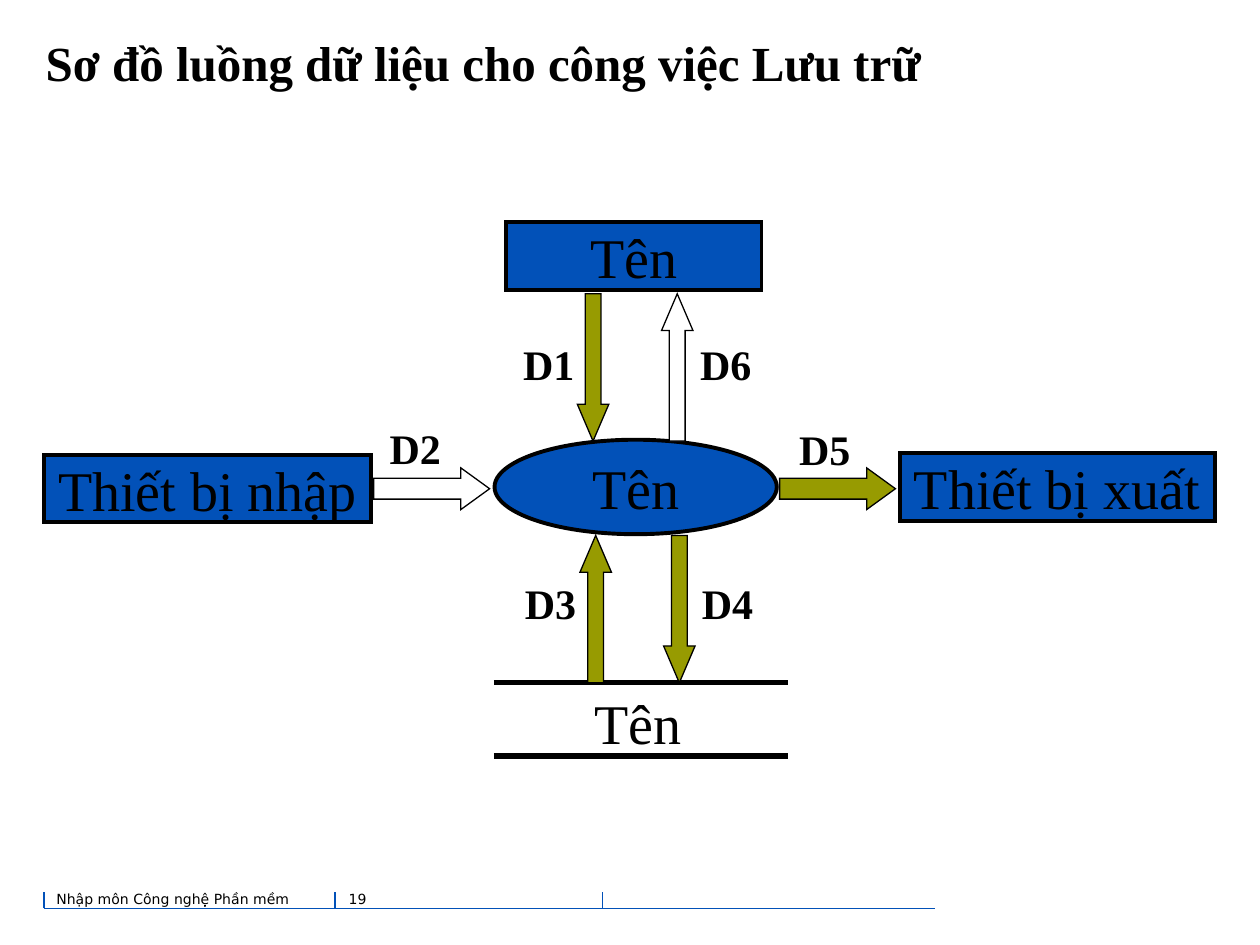
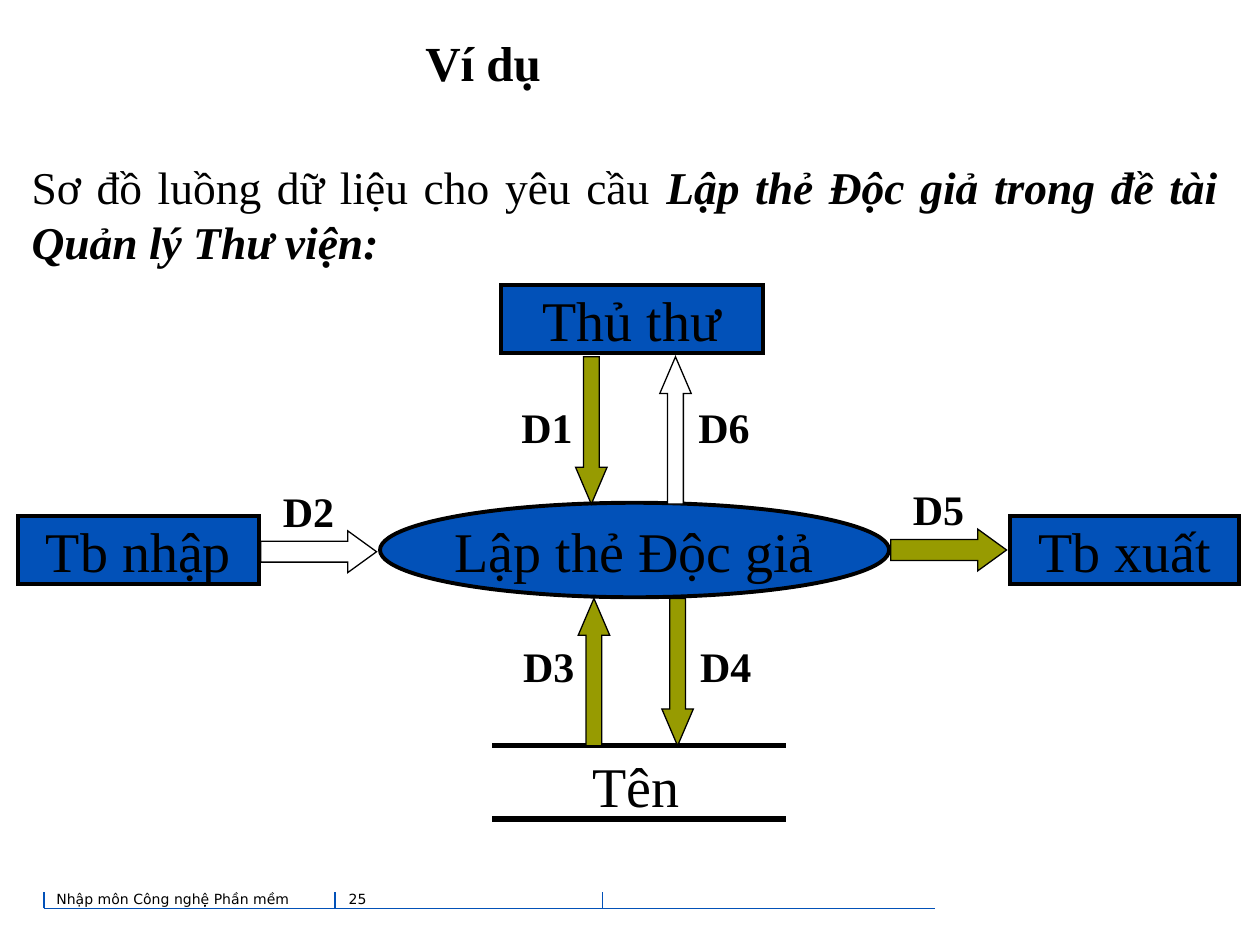
from lxml import etree
from pptx import Presentation
from pptx.dml.color import RGBColor
from pptx.enum.shapes import MSO_CONNECTOR, MSO_SHAPE as Shape
from pptx.enum.text import MSO_ANCHOR as Anchor, PP_ALIGN as Align
from pptx.oxml.ns import qn
from pptx.util import Pt

BLUE = RGBColor(0x02, 0x51, 0xB8)
OLIVE = RGBColor(0x97, 0x9B, 0x01)
WHITE = RGBColor(0xFF, 0xFF, 0xFF)
BLACK = RGBColor(0, 0, 0)
SERIF = "Times New Roman"
SANS = "DejaVu Sans"

BOX_HEIGHT = 38.6
PROCESS_HEIGHT = 54
FLOW_LENGTH, FLOW_WIDTH = 84.2, 18
SIDE_LENGTH, SIDE_WIDTH = 66.2, 23.8
LABEL_WIDTH, LABEL_HEIGHT = 37.5, 28.8
STORE_LEFT, STORE_RIGHT = 282.2, 450
STORE_TOP, STORE_BOTTOM = 390.2, 432


def write(frame, text, size, font=SERIF, bold=False, align=Align.CENTER,
          anchor=Anchor.TOP, margin=0, wrap=False):
    frame.word_wrap = wrap
    frame.vertical_anchor = anchor
    frame.margin_left = frame.margin_right = Pt(margin)
    frame.margin_top = frame.margin_bottom = Pt(margin)
    paragraph = frame.paragraphs[0]
    paragraph.text = text
    paragraph.alignment = align
    paragraph.font.name = font
    paragraph.font.size = Pt(size)
    paragraph.font.bold = bold
    paragraph.font.color.rgb = BLACK
    return paragraph


def add_text(slide, place, text, size, **style):
    box = slide.shapes.add_textbox(*map(Pt, place))
    return write(box.text_frame, text, size, **style)


def add_outlined(slide, kind, place, fill, line_width):
    """Filled shape with a black outline and sharp corners."""
    shape = slide.shapes.add_shape(kind, *map(Pt, place))
    shape.shadow.inherit = False
    shape.fill.solid()
    shape.fill.fore_color.rgb = fill
    shape.line.color.rgb = BLACK
    shape.line.width = Pt(line_width)
    outline = shape._element.spPr.find(qn("a:ln"))
    etree.SubElement(outline, qn("a:miter"), lim="800000")
    return shape


def add_node(slide, kind, place, name):
    node = add_outlined(slide, kind, place, BLUE, 2.25)
    write(node.text_frame, name, 32, anchor=Anchor.MIDDLE)


def add_flow(slide, kind, left, top, fill):
    """Block arrow for one data flow; side flows point right."""
    if kind == Shape.RIGHT_ARROW:
        size, head = (SIDE_LENGTH, SIDE_WIDTH), 0.69
    else:
        size, head = (FLOW_WIDTH, FLOW_LENGTH), 1.17
    arrow = add_outlined(slide, kind, (left, top, *size), fill, 0.75)
    arrow.adjustments[0] = 0.5
    arrow.adjustments[1] = head


def add_label(slide, left, top, text):
    add_text(slide, (left, top, LABEL_WIDTH, LABEL_HEIGHT), text, 24, bold=True)


def add_line(slide, start, end, color, width):
    line = slide.shapes.add_connector(
        MSO_CONNECTOR.STRAIGHT, *map(Pt, (*start, *end)))
    line.line.color.rgb = color
    line.line.width = Pt(width)
    properties = line._element.spPr
    etree.SubElement(properties, qn("a:effectLst"))


def add_footer(slide, number):
    baseline, tick_top = 519.1, 509.8
    add_line(slide, (534.2, baseline), (25.2, baseline), BLUE, 0.75)
    for x in (25.2, 191.5, 344.2):
        add_line(slide, (x, baseline), (x, tick_top), BLUE, 0.75)
    for left, width, text in ((29.2, 157.7, "Nhập môn Công nghệ Phần mềm"),
                              (196.2, 90, str(number))):
        add_text(slide, (left, 505.8, width, 18), text, 8, font=SANS,
                 align=Align.LEFT, margin=3, wrap=True)


def add_base_slide(deck, title, number):
    slide = deck.slides.add_slide(deck.slide_layouts[6])
    add_footer(slide, number)
    add_text(slide, (0, 5, 552.2, 61.2), title, 28, bold=True,
             anchor=Anchor.MIDDLE, wrap=True)
    return slide


def add_vertical_flows(slide, dx, dy):
    """Flows between the process and the user above or the store below."""
    flows = (
        ("D1", Shape.DOWN_ARROW, 329.9, 167.9, OLIVE, 294.8, 193.4),
        ("D6", Shape.UP_ARROW, 378, 167.9, WHITE, 396, 193.4),
        ("D3", Shape.UP_ARROW, 331.4, 306, OLIVE, 295.8, 329.8),
        ("D4", Shape.DOWN_ARROW, 379.2, 306, OLIVE, 397, 329.8),
    )
    for name, kind, left, top, fill, label_left, label_top in flows:
        add_flow(slide, kind, left + dx, top + dy, fill)
        add_label(slide, label_left + dx, label_top + dy, name)


def add_store(slide, dx, dy, name):
    for y in (STORE_TOP, STORE_BOTTOM):
        add_line(slide, (STORE_LEFT + dx, y + dy),
                 (STORE_RIGHT + dx, y + dy), BLACK, 3)
    add_text(slide, (314.6 + dx, 393.6 + dy, 100, BOX_HEIGHT), name, 32)


def add_data_flow_diagram(slide, process, boxes, side_flows, dx=0, dy=0):
    """Boxes hold left, top, width, name; dx and dy shift the middle column."""
    left, top, width, name = process
    add_node(slide, Shape.OVAL, (left, top, width, PROCESS_HEIGHT), name)
    for left, top, width, name in boxes:
        add_node(slide, Shape.RECTANGLE, (left, top, width, BOX_HEIGHT), name)
    add_store(slide, dx, dy, "Tên")
    add_vertical_flows(slide, dx, dy)
    for name, left, top, fill, label_left, label_top in side_flows:
        add_flow(slide, Shape.RIGHT_ARROW, left, top, fill)
        add_label(slide, label_left, label_top, name)


def main():
    deck = Presentation()
    deck.slide_width, deck.slide_height = Pt(720), Pt(540)

    storage = add_base_slide(
        deck, "Sơ đồ luồng dữ liệu cho công việc Lưu trữ", 19)
    add_data_flow_diagram(
        storage,
        process=(282.6, 251.3, 161.3, "Tên"),
        boxes=((289, 126.9, 146.2, "Tên"),
               (25, 260, 187.2, "Thiết bị nhập"),
               (514.1, 259, 180, "Thiết bị xuất")),
        side_flows=(("D2", 213.6, 267.4, WHITE, 218.5, 241.2),
                    ("D5", 445.5, 267.4, OLIVE, 452.5, 241.9)))

    example = add_base_slide(deck, "Ví dụ", 25)
    add_data_flow_diagram(
        example,
        process=(217.2, 287.3, 290.9, "Lập thẻ Độc giả"),
        boxes=((286.1, 162.9, 149.8, "Thủ thư"),
               (10.1, 295, 138.2, "Tb nhập"),
               (577.1, 295, 131, "Tb xuất")),
        side_flows=(("D2", 149, 303.4, WHITE, 157.5, 277.2),
                    ("D5", 509, 302.4, OLIVE, 517.5, 276.1)),
        dx=-1, dy=36)
    request = add_text(example, (18, 90.9, 678.2, 62.6),
                       "Sơ đồ luồng dữ liệu cho yêu cầu ", 26,
                       align=Align.JUSTIFY, wrap=True)
    request.font.bold = None
    topic = request.add_run()
    topic.text = "Lập thẻ Độc giả trong đề tài Quản lý Thư viện:"
    topic.font.bold = topic.font.italic = True

    deck.save("out.pptx")


if __name__ == "__main__":
    main()
